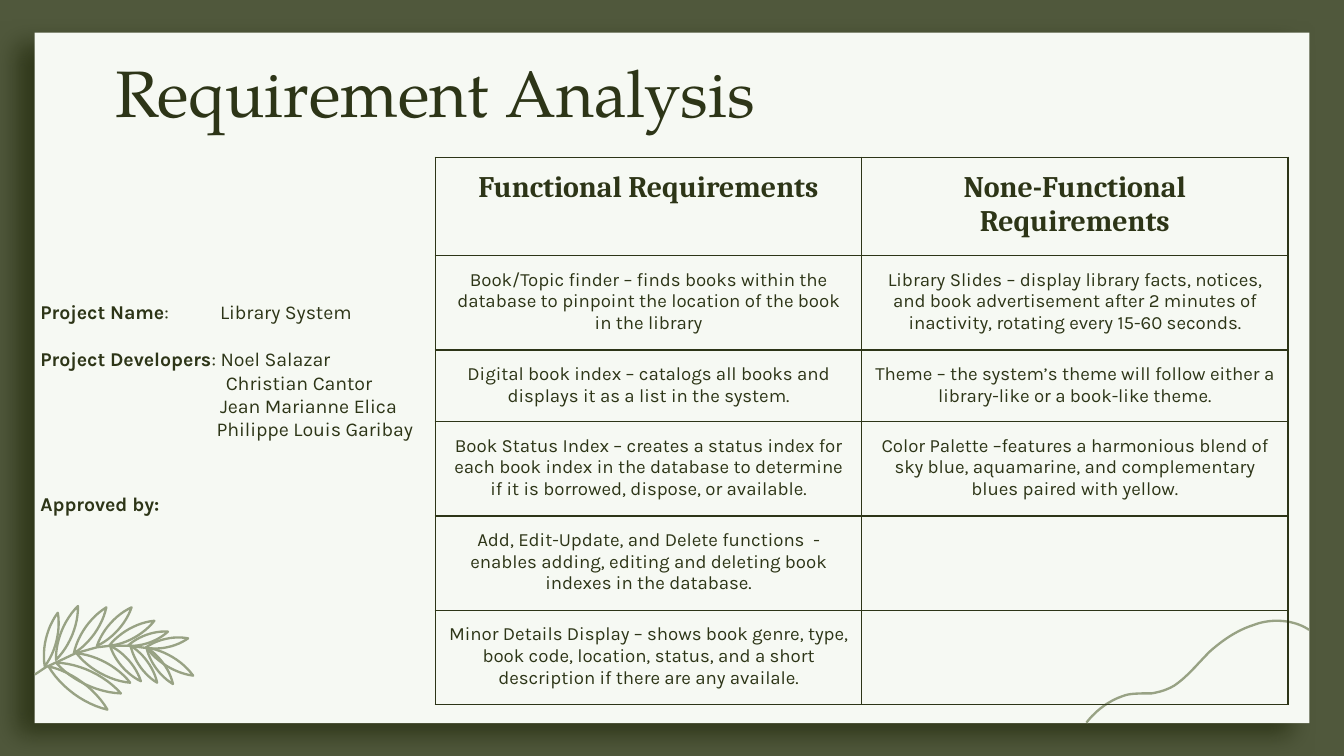
from lxml import etree
from pptx import Presentation, util as u
from pptx.dml.color import RGBColor
from pptx.enum import shapes, text
from pptx.oxml import ns, parse_xml

GREEN, PAPER, INK, SAGE = "50583C", "F6F9F3", "2D3517", "98A284"
HEADING = dict(name="TeX Gyre Pagella", size=u.Pt(35))
COLUMN_HEAD = dict(name="Cambria", size=u.Pt(16), bold=True)
ENTRY = dict(name="Karla", size=u.Pt(10), bold=False)
LABEL = dict(name="Karla", size=u.Pt(10.5), bold=True)
VALUE = dict(LABEL, bold=False)

# Content: (runs, space before, hanging indent) for each paragraph
TITLE = [([("Requirement Analysis", HEADING)], 0, 0)]
PROJECT = [
    ([("Project Name", LABEL), (":\tLibrary System", VALUE)], 0, 96.2),
    ([("Project Developers", LABEL), (": Noel Salazar", VALUE)], 13, 96.2),
    ([("\tChristian Cantor", VALUE)], 0, 99.3),
    ([("\tJean Marianne Elica", VALUE)], 0, 96.2),
    ([("\tPhilippe Louis Garibay", VALUE)], 0, 94.3),
]
APPROVAL = [([("Approved by:", LABEL)], 0, 0)]
REQUIREMENTS = [
    ("Functional Requirements", "None-Functional Requirements"),
    ("Book/Topic finder – finds books within the database to pinpoint the location of the book in the library",
     "Library Slides – display library facts, notices, and book advertisement after 2 minutes of inactivity, "
     "rotating every 15-60 seconds."),
    ("Digital book index – catalogs all books and displays it as a list in the system.",
     "Theme – the system’s theme will follow either a library-like or a book-like theme."),
    ("Book Status Index – creates a status index for each book index in the database to determine if it is "
     "borrowed, dispose, or available.",
     "Color Palette –features a harmonious blend of sky blue, aquamarine, and complementary blues paired "
     "with yellow."),
    ("Add, Edit-Update, and Delete functions  - enables adding, editing and deleting book indexes in the "
     "database.", ""),
    ("Minor Details Display – shows book genre, type, book code, location, status, and a short description "
     "if there are any availale.", ""),
]
ROW_HEIGHTS = [49, 47.5, 36, 47.5, 47.5, 47.5]
COLUMN_WIDTH = 228.4

# Sprig: points along the stem, then (base, tip) of each leaf
STEM = [(18.7, 361.4), (24.5, 357.5), (31, 354.5), (40.5, 350), (52, 346.8),
        (59, 346), (69, 346), (78.5, 347.2)]
LEAVES = [
    ((78.5, 347), (103.5, 362)), ((78.5, 347), (92.7, 366.5)), ((78, 347), (100.8, 342)),
    ((70, 346), (84.2, 365.8)), ((68.5, 346), (90, 338.4)), ((59, 346), (75.5, 365)),
    ((58.5, 346), (82.7, 332.6)), ((52, 346), (70.5, 325.4)), ((41, 350), (69.8, 365.8)),
    ((30, 355), (64.8, 371.5)), ((39.6, 350), (57, 325.4)), ((30, 353.5), (41.8, 324.7)),
    ((26, 357), (57.6, 380.2)), ((24, 357), (31, 328.3)),
]
# Wave: start point, then two control points and an end point for each bend
WAVE = [(582, 387.2), (587.5, 380.2), (594.7, 375), (602.6, 372.6),
        (605.5, 371.5), (612, 371.5), (617, 371.5),
        (621.4, 370.8), (625.7, 369.4), (629.3, 367.2),
        (636.5, 362.2), (641.5, 355.7), (648, 349.2),
        (654.5, 343.4), (662.4, 337.7), (671.8, 334.8),
        (675.4, 333.4), (679.7, 332.6), (684, 332.6),
        (689.8, 332.6), (696.2, 334), (701.3, 337.5)]
FINENESS = 100  # drawing units in a point


def color(value):
    return RGBColor.from_string(value)


def add_run(paragraph, words, style):
    run = paragraph.add_run()
    run.text = words
    for key, value in style.items():
        setattr(run.font, key, value)
    run.font.color.rgb = color(INK)


def add_text(slide, place, paragraphs, align=text.PP_ALIGN.LEFT, spacing=None):
    frame = slide.shapes.add_textbox(*map(u.Pt, place)).text_frame
    frame.word_wrap = True
    for side in ("left", "top", "right", "bottom"):
        setattr(frame, f"margin_{side}", u.Pt(7.2))
    for i, (runs, before, hang) in enumerate(paragraphs):
        paragraph = frame.add_paragraph() if i else frame.paragraphs[0]
        paragraph.alignment = align
        paragraph.space_before = u.Pt(before)
        if spacing:
            paragraph.line_spacing = u.Pt(spacing)
        if hang:
            properties = paragraph._p.get_or_add_pPr()
            properties.set("marL", str(u.Pt(hang)))
            properties.set("indent", str(-u.Pt(hang)))
        for words, style in runs:
            add_run(paragraph, words, style)


def bezier(a, b, c, d, steps=12):
    for i in range(1, steps + 1):
        t = i / steps
        yield tuple((1 - t) ** 3 * p + 3 * t * (1 - t) ** 2 * q + 3 * t * t * (1 - t) * r + t ** 3 * s
                    for p, q, r, s in zip(a, b, c, d))


def leaf_outline(base, tip, bow=0.13):
    dx, dy = tip[0] - base[0], tip[1] - base[1]

    def bulge(t, side):
        return base[0] + t * dx - side * bow * dy, base[1] + t * dy + side * bow * dx

    return [base, *bezier(base, bulge(0.3, 1), bulge(0.7, 1), tip),
            *bezier(tip, bulge(0.7, -1), bulge(0.3, -1), base)]


def draw_strokes(slide, strokes, width):
    fine = [[(x * FINENESS, y * FINENESS) for x, y in stroke] for stroke in strokes]
    builder = slide.shapes.build_freeform(*fine[0][0], scale=u.Pt(1) / FINENESS)
    for i, points in enumerate(fine):
        if i:
            builder.move_to(*points[0])
        builder.add_line_segments(points[1:], close=False)
    drawing = builder.convert_to_shape()
    drawing.shadow.inherit = False
    drawing.fill.background()
    drawing.line.color.rgb = color(SAGE)
    drawing.line.width = u.Pt(width)


def add_borders(cell):
    properties = cell._tc.get_or_add_tcPr()
    for i, side in enumerate(("lnL", "lnR", "lnT", "lnB")):
        properties.insert(i, parse_xml(
            f'<a:{side} {ns.nsdecls("a")} w="{u.Pt(0.75)}"><a:solidFill>'
            f'<a:srgbClr val="{INK}"/></a:solidFill></a:{side}>'))


deck = Presentation()
deck.slide_width, deck.slide_height = u.Pt(720), u.Pt(405)
slide = deck.slides.add_slide(deck.slide_layouts[6])
slide.background.fill.solid()
slide.background.fill.fore_color.rgb = color(GREEN)

# Paper sheet with its shadow
sheet = slide.shapes.add_shape(shapes.MSO_SHAPE.RECTANGLE, *map(u.Pt, (18.5, 17.5, 683, 370)))
sheet.fill.solid()
sheet.fill.fore_color.rgb = color(PAPER)
sheet.line.fill.background()
sheet.shadow.inherit = False
effects = sheet._element.spPr.find(ns.qn("a:effectLst"))
shadow = etree.SubElement(effects, ns.qn("a:outerShdw"), blurRad=str(u.Pt(13.5)),
                          dist=str(u.Pt(11.2)), dir=str(145 * 60000), algn="bl", rotWithShape="0")
tint = etree.SubElement(shadow, ns.qn("a:srgbClr"), val=INK)
etree.SubElement(tint, ns.qn("a:alpha"), val="93000")

# Sprig and wave
draw_strokes(slide, [STEM] + [leaf_outline(*leaf) for leaf in LEAVES], 1.25)
wave_points = WAVE[:1]
for i in range(0, len(WAVE) - 1, 3):
    wave_points += bezier(*WAVE[i:i + 4])
draw_strokes(slide, [wave_points], 1.25)

# Title and project details
add_text(slide, (43.2, 20.9, 380, 45.4), TITLE, text.PP_ALIGN.CENTER)
add_text(slide, (14.6, 153.4, 253.4, 98.6), PROJECT, spacing=12.5)

# Requirements table
requirements = slide.shapes.add_table(
    len(REQUIREMENTS), 2, *map(u.Pt, (233.2, 84.2, 2 * COLUMN_WIDTH, sum(ROW_HEIGHTS)))).table
for column in requirements.columns:
    column.width = u.Pt(COLUMN_WIDTH)
for r, (entries, height) in enumerate(zip(REQUIREMENTS, ROW_HEIGHTS)):
    requirements.rows[r].height = u.Pt(height)
    for c, words in enumerate(entries):
        cell = requirements.cell(r, c)
        for side in ("left", "top", "right", "bottom"):
            setattr(cell, f"margin_{side}", u.Pt(7.2))
        cell.fill.background()
        add_borders(cell)
        if words:
            paragraph = cell.text_frame.paragraphs[0]
            paragraph.alignment = text.PP_ALIGN.CENTER
            add_run(paragraph, words, ENTRY if r else COLUMN_HEAD)

add_text(slide, (14.6, 257.2, 253.4, 98.6), APPROVAL)
deck.save("out.pptx")
